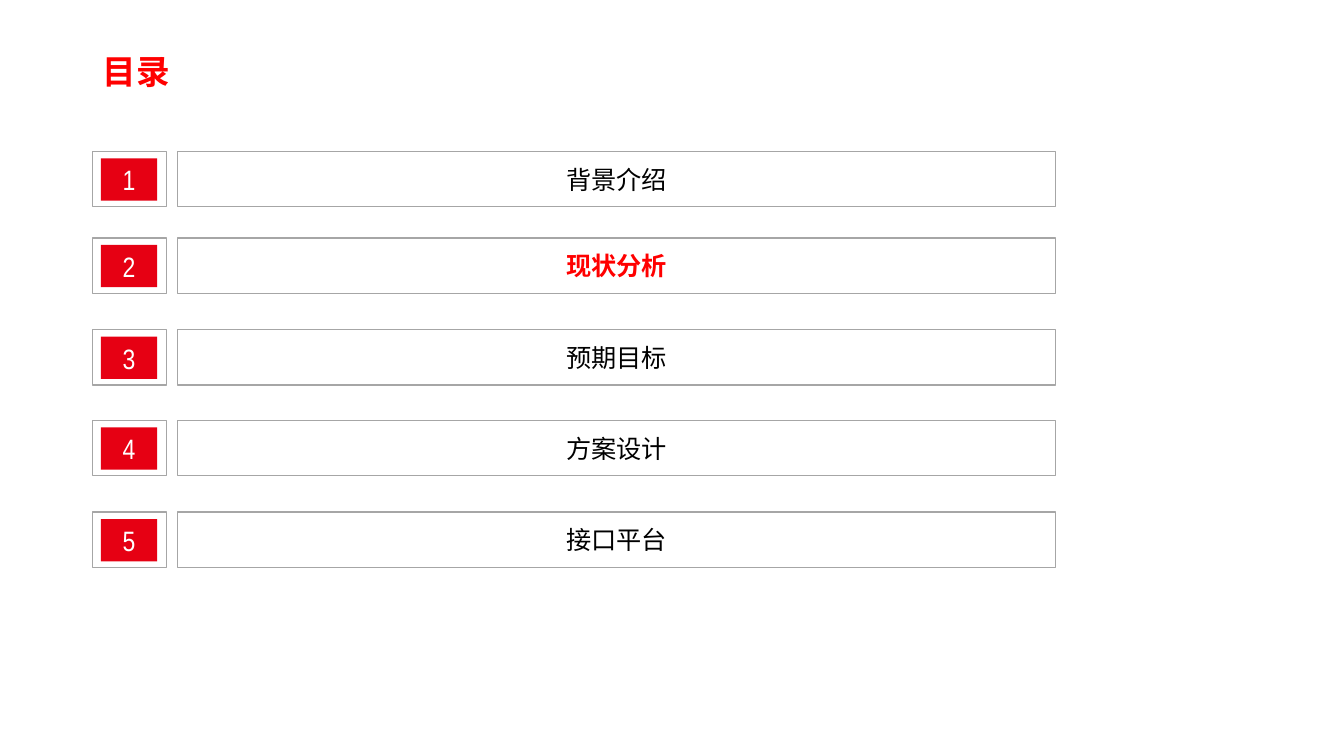
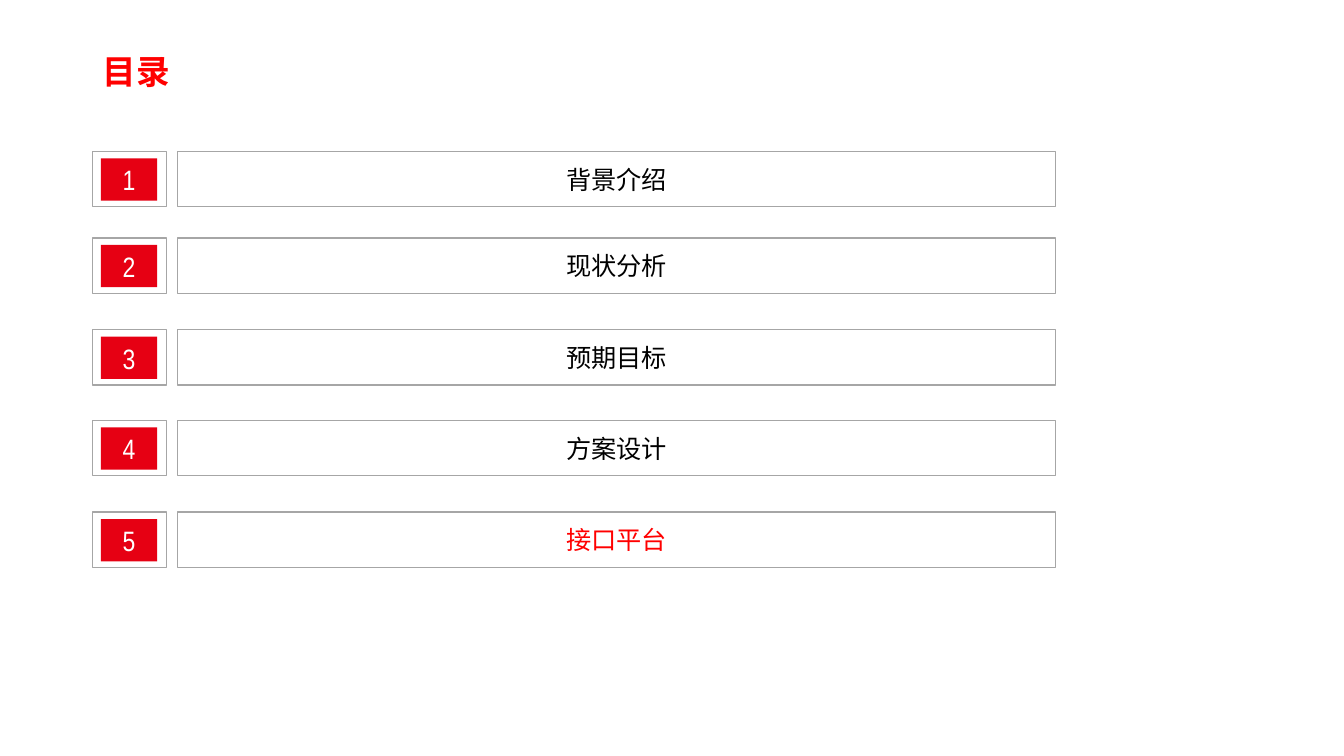
"""Build two agenda slides, each highlighting one section."""
import pptx
import pptx.dml.color
import pptx.enum.shapes
import pptx.enum.text
import pptx.util

PX = 9144
COLORS = {"accent": "FF0000", "badge": "E60013", "border": "A6A6A6",
          "text": "000000", "white": "FFFFFF"}
SECTIONS = ["背景介绍", "现状分析", "预期目标", "方案设计", "接口平台"]
ROW_TOPS = [150, 236, 327, 417, 508]
HIGHLIGHTS = [("现状分析", True), ("接口平台", False)]


def set_text(sp, text, font, size, color, bold=False, align=pptx.enum.text.PP_ALIGN.CENTER):
    tf = sp.text_frame
    tf.word_wrap = True
    tf.vertical_anchor = pptx.enum.text.MSO_ANCHOR.MIDDLE
    p = tf.paragraphs[0]
    p.text = text
    p.alignment = align
    p.font.name = font
    p.font.size = pptx.util.Pt(size)
    p.font.bold = bold
    p.font.color.rgb = pptx.dml.color.RGBColor.from_string(COLORS[color])
    return p


def add_box(shapes, left, top, width, height, fill=None):
    sp = shapes.add_shape(pptx.enum.shapes.MSO_SHAPE.RECTANGLE,
                          left * PX, top * PX, width * PX, height * PX)
    sp.shadow.inherit = False
    if fill:
        sp.fill.solid()
        sp.fill.fore_color.rgb = pptx.dml.color.RGBColor.from_string(COLORS[fill])
        sp.line.fill.background()
    else:
        sp.fill.background()
        sp.line.color.rgb = pptx.dml.color.RGBColor.from_string(COLORS["border"])
        sp.line.width = pptx.util.Pt(1)
    return sp


prs = pptx.Presentation()
prs.slide_width = 1333 * PX
prs.slide_height = 750 * PX

for current, bold in HIGHLIGHTS:
    s = prs.slides.add_slide(prs.slide_layouts[6])
    title = s.shapes.add_textbox(92 * PX, 40 * PX, 789 * PX, 66 * PX)
    p = set_text(title, "目录", "Montserrat", 24, "accent", True, pptx.enum.text.PP_ALIGN.LEFT)
    p.line_spacing = 0.9

    for number, (section, top) in enumerate(zip(SECTIONS, ROW_TOPS), 1):
        row = s.shapes.add_group_shape().shapes
        add_box(row, 92, top, 73, 55)
        badge = add_box(row, 100, top + 7, 56, 42, "badge")
        set_text(badge, str(number), "Arial Narrow", 20, "white")
        bar = add_box(row, 176, top, 871, 55)
        active = section == current
        set_text(bar, section, "Arial", 18, "accent" if active else "text", active and bold)

prs.save("out.pptx")
